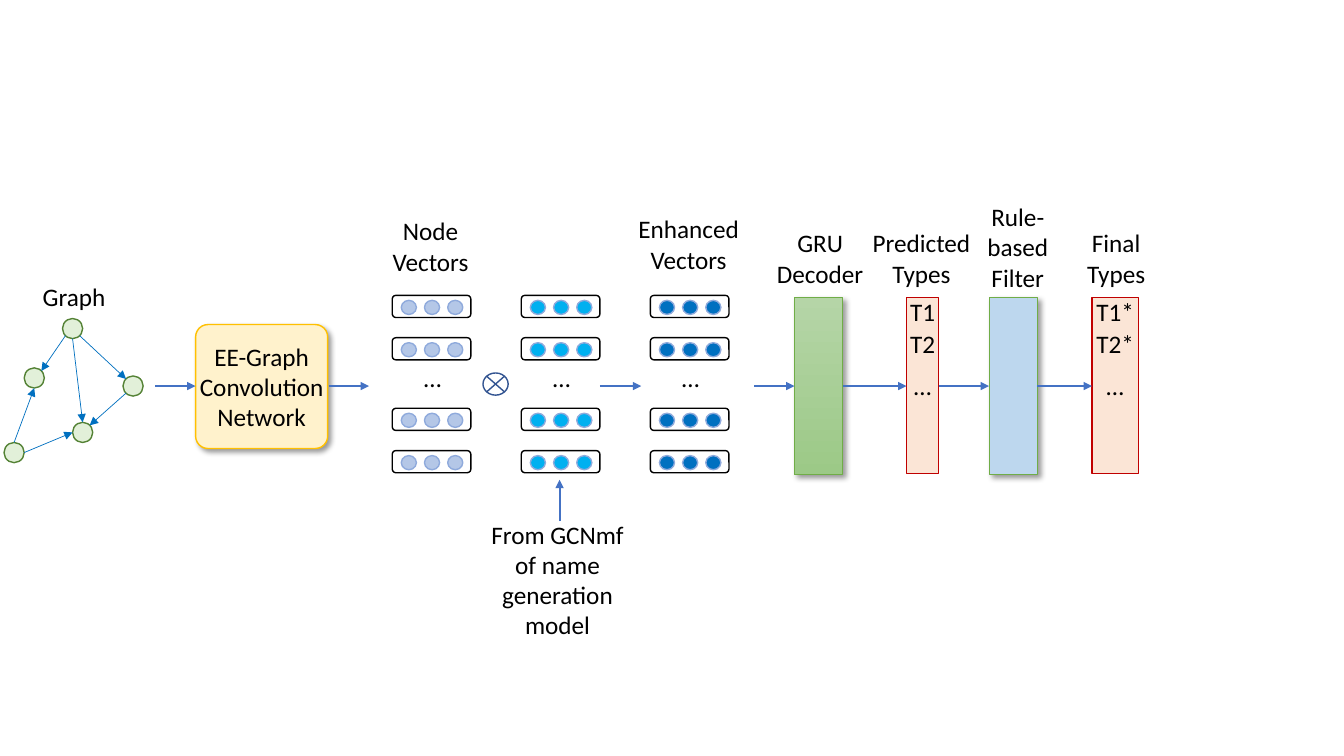
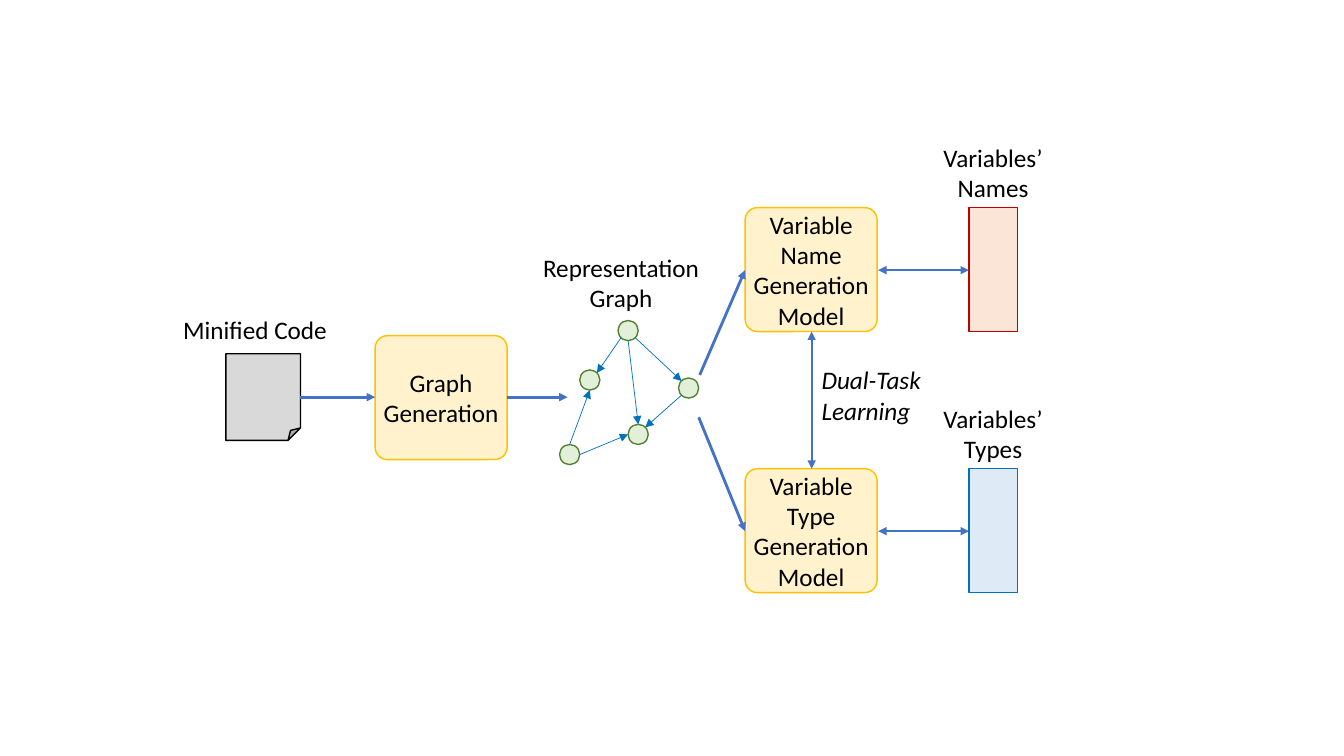
import pptx
import pptx.util
import pptx.dml.color
import pptx.enum.shapes
import pptx.enum.text
import pptx.oxml
import pptx.oxml.ns
import lxml.etree

Inches = pptx.util.Inches
KINDS = pptx.enum.shapes.MSO_SHAPE
ALIGN = pptx.enum.text.PP_ALIGN
ANCHOR = pptx.enum.text.MSO_ANCHOR
FONT, TEXT_SIZE = "Calibri", 18
BLACK, FLOW, EDGE = "000000", "4472C4", "0070C0"
NODE_FILL, NODE_LINE = "E2F0D9", "548235"
MODEL_FILL, MODEL_LINE = "FFF2CC", "FFC000"
RED, PEACH, LEAF = "C00000", "FBE5D6", "70AD47"
MODEL_SIZE = (1.31, 1.23)

NODE_SIZE = 0.2
NODES = {"top": (0.58, 0), "left": (0.2, 0.49), "low": (0.68, 1.03),
         "right": (1.18, 0.57), "base": (0, 1.23)}
SIDES = {"N": (0, -0.1), "S": (0, 0.1), "E": (0.1, 0), "W": (-0.1, 0),
         "NE": (0.07, -0.07), "NW": (-0.07, -0.07),
         "SE": (0.07, 0.07), "SW": (-0.07, 0.07)}
EDGES = [("top", "SW", "left", "NE"), ("top", "S", "low", "N"),
         ("top", "SE", "right", "NW"), ("right", "SW", "low", "NE"),
         ("base", "E", "low", "W"), ("base", "N", "left", "S")]

VECTOR_LEFT, VECTOR_STEP = 3.89, 1.28
VECTOR_COLORS = ["B4C7E7", "00B0F0", "0070C0"]
VECTOR_TOPS = [2.93, 3.35, 4.05, 4.47]
DOTS = 3

PIPELINE_LABELS = [
    (0.735, 2.74, ["Graph"]),
    (4.27, 2.09, ["Node", "Vectors"]),
    (6.83, 2.07, ["Enhanced", "Vectors"]),
    (8.135, 2.21, ["GRU", "Decoder"]),
    (9.14, 2.21, ["Predicted", "Types"]),
    (10.095, 1.95, ["Rule-", "based", "Filter"]),
    (11.07, 2.21, ["Final", "Types"]),
    (5.53, 5.1, ["From GCNmf of name generation model"]),
]
TYPE_BARS = [(8.99, 0.32, ["T1", "T2"]), (10.83, 0.46, ["T1*", "T2*"])]
TYPE_TOP, TYPE_STEP = 2.89, 0.32
PIPELINE_Y = 3.83
PIPELINE_ARROWS = [(1.54, 1.94), (3.26, 3.66), (5.95, 6.36), (7.48, 7.88),
                   (8.36, 8.99), (9.31, 9.81), (10.29, 10.83)]

MODELS = [(3.72, 3.33, ["Graph", "Generation"]),
          (7.39, 2.06, ["Variable Name Generation", "Model"]),
          (7.39, 4.65, ["Variable Type Generation", "Model"])]
OUTPUTS = [(2.06, PEACH, RED, "Names"), (4.65, "DEEBF7", "0070C0", "Types")]
OVERVIEW_LABELS = [(2.53, 3.07, ["Minified Code"]),
                   (6.16, 2.45, ["Representation", "Graph"])]
OVERVIEW_ARROWS = [((2.98, 3.94), (3.72, 3.94)), ((5.03, 3.94), (5.63, 3.94)),
                   ((6.94, 3.72), (7.39, 2.68)), ((6.93, 4.14), (7.39, 5.27))]
EXCHANGES = [((8.05, 3.29), (8.05, 4.65)), ((8.71, 2.68), (9.61, 2.68)),
             ((8.71, 5.27), (9.61, 5.27))]


def color(value):
    return pptx.dml.color.RGBColor.from_string(value)


def write(shape, lines, align=ALIGN.CENTER, italic=False):
    frame = shape.text_frame
    for index, line in enumerate(lines):
        para = frame.paragraphs[0] if index == 0 else frame.add_paragraph()
        para.alignment = align
        span = para.add_run()
        span.text = line
        span.font.name = FONT
        span.font.size = pptx.util.Pt(TEXT_SIZE)
        span.font.italic = italic
        span.font.color.rgb = color(BLACK)


def add_shape(shapes, kind, left, top, width, height, fill, line, weight=1, lines=()):
    shape = shapes.add_shape(kind, *map(Inches, (left, top, width, height)))
    shape.shadow.inherit = False
    if fill:
        shape.fill.solid()
        shape.fill.fore_color.rgb = color(fill)
    else:
        shape.fill.background()
    shape.line.color.rgb = color(line)
    shape.line.width = pptx.util.Pt(weight)
    frame = shape.text_frame
    frame.word_wrap = True
    frame.vertical_anchor = ANCHOR.MIDDLE
    frame.margin_left = frame.margin_right = frame.margin_top = frame.margin_bottom = 0
    write(shape, lines)
    return shape


def add_label(shapes, center, top, lines, width=1.76, align=ALIGN.CENTER, italic=False):
    height = 0.1 + 0.3 * len(lines)
    box = shapes.add_textbox(*map(Inches, (center - width / 2, top, width, height)))
    box.text_frame.word_wrap = False
    write(box, lines, align, italic)


def add_arrow(shapes, start, end, line=FLOW, weight=1.5, both=False):
    arrow = shapes.add_connector(pptx.enum.shapes.MSO_CONNECTOR.STRAIGHT,
                                 *map(Inches, (*start, *end)))
    arrow.line.color.rgb = color(line)
    arrow.line.width = pptx.util.Pt(weight)
    stroke = arrow.line._get_or_add_ln()
    for tag in (["a:headEnd"] if both else []) + ["a:tailEnd"]:
        lxml.etree.SubElement(stroke, pptx.oxml.ns.qn(tag), type="triangle")
    lxml.etree.SubElement(arrow._element.spPr, pptx.oxml.ns.qn("a:effectLst"))


def add_shadow(shape):
    effects = shape._element.spPr.find(pptx.oxml.ns.qn("a:effectLst"))
    effects.append(pptx.oxml.parse_xml(
        f'<a:outerShdw {pptx.oxml.ns.nsdecls("a")} blurRad="50800" dist="38100" '
        'dir="2700000" algn="tl" rotWithShape="0"><a:srgbClr val="000000">'
        '<a:alpha val="40000"/></a:srgbClr></a:outerShdw>'))


def add_model(page, left, top, lines):
    model = add_shape(page.shapes, KINDS.ROUNDED_RECTANGLE, left, top, *MODEL_SIZE,
                      MODEL_FILL, MODEL_LINE, lines=lines)
    model.adjustments[0] = 0.1
    return model


def add_graph(page, left, top):
    shapes = page.shapes.add_group_shape().shapes
    for x, y in NODES.values():
        add_shape(shapes, KINDS.OVAL, left + x, top + y, NODE_SIZE, NODE_SIZE,
                  NODE_FILL, NODE_LINE)

    def port(node, side):
        return tuple(origin + offset + NODE_SIZE / 2 + shift for origin, offset, shift
                     in zip((left, top), NODES[node], SIDES[side]))

    for source, leaving, target, entering in EDGES:
        add_arrow(shapes, port(source, leaving), port(target, entering), EDGE, 0.5)


def add_vectors(page, left, fill):
    shapes = page.shapes.add_group_shape().shapes
    for top in VECTOR_TOPS:
        add_shape(shapes, KINDS.ROUNDED_RECTANGLE, left, top, 0.78, 0.22, None, BLACK)
        for dot in range(DOTS):
            add_shape(shapes, KINDS.OVAL, left + 0.09 + 0.23 * dot, top + 0.05,
                      0.15, 0.14, fill, "8FAADC")
    add_label(shapes, left + 0.4, 3.55, ["…"], 0.38)


def build_pipeline(page):
    add_graph(page, 0.04, 3.16)
    add_shadow(add_model(page, 1.94, 3.22, ["EE-Graph", "Convolution", "Network"]))
    for index, fill in enumerate(VECTOR_COLORS):
        add_vectors(page, VECTOR_LEFT + VECTOR_STEP * index, fill)
    add_shape(page.shapes, KINDS.FLOWCHART_SUMMING_JUNCTION, 4.79, 3.7, 0.25, 0.22,
              None, "325491")
    decoder, rule_filter = [
        add_shape(page.shapes, KINDS.RECTANGLE, left, 2.95, 0.48, 1.76, "BDD7EE", LEAF, 0.5)
        for left in (7.88, 9.81)]
    decoder.fill.gradient()
    decoder.fill.gradient_angle = 270
    for stop, value in zip(decoder.fill.gradient_stops, ("B5D5A7", "9CC987")):
        stop.color.rgb = color(value)
    for bar in (decoder, rule_filter):
        add_shadow(bar)
    for left, width, names in TYPE_BARS:
        add_shape(page.shapes, KINDS.RECTANGLE, left, 2.95, width, 1.75, PEACH, RED,
                  lines=["…"])
        for index, name in enumerate(names):
            add_label(page.shapes, left + width / 2, TYPE_TOP + TYPE_STEP * index,
                      [name], 0.58)
    for center, top, lines in PIPELINE_LABELS:
        add_label(page.shapes, center, top, lines)
    for start, end in PIPELINE_ARROWS:
        add_arrow(page.shapes, (start, PIPELINE_Y), (end, PIPELINE_Y))
    add_arrow(page.shapes, (5.55, 5.17), (5.55, 4.76))


def build_overview(page):
    add_shape(page.shapes, KINDS.FOLDED_CORNER, 2.24, 3.51, 0.74, 0.86, "D9D9D9", BLACK)
    add_graph(page, 5.55, 3.18)
    for model in MODELS:
        add_model(page, *model)
    for top, fill, line, name in OUTPUTS:
        add_shape(page.shapes, KINDS.RECTANGLE, 9.61, top, 0.48, MODEL_SIZE[1], fill, line)
        add_label(page.shapes, 9.85, top - 0.7, ["Variables’", name])
    for center, top, lines in OVERVIEW_LABELS:
        add_label(page.shapes, center, top, lines)
    add_label(page.shapes, 8.65, 3.57, ["Dual-Task", "Learning"], 1.2, ALIGN.LEFT, True)
    for start, end in OVERVIEW_ARROWS:
        add_arrow(page.shapes, start, end, weight=2)
    for start, end in EXCHANGES:
        add_arrow(page.shapes, start, end, both=True)


deck = pptx.Presentation()
deck.slide_width, deck.slide_height = Inches(13.33), Inches(7.5)
for build in (build_pipeline, build_overview):
    build(deck.slides.add_slide(deck.slide_layouts[6]))
deck.save("out.pptx")
